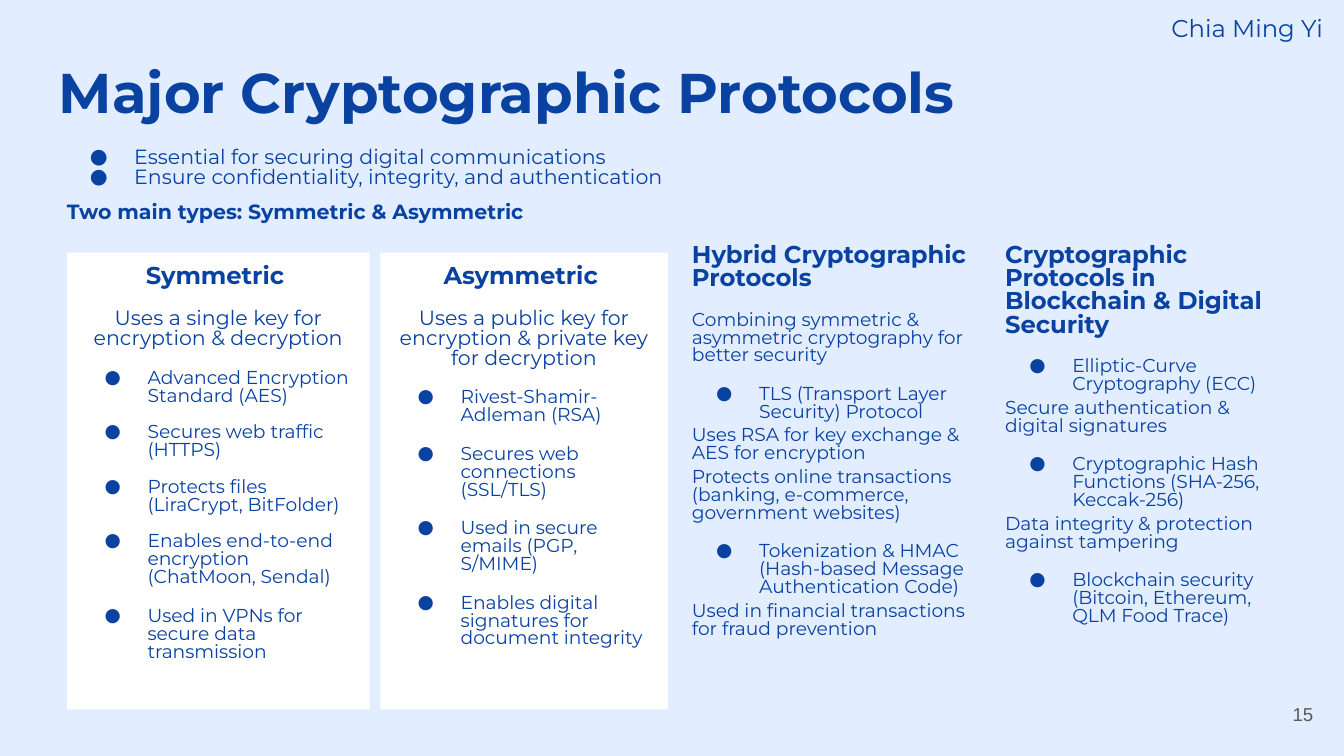
import pptx
import pptx.dml.color
import pptx.enum.shapes
import pptx.enum.text
import pptx.oxml
import pptx.oxml.ns
import pptx.util
from pptx.util import Inches

BLUE = "0942A1"
GREY = "595959"
WHITE = "FFFFFF"
BACKGROUND = "E2EDFF"
LEFT, CENTER, RIGHT = (
    pptx.enum.text.PP_ALIGN.LEFT,
    pptx.enum.text.PP_ALIGN.CENTER,
    pptx.enum.text.PP_ALIGN.RIGHT,
)
HEADING = {"size": 13, "bold": True, "before": 11, "spacing": 0.8}
BODY = {"size": 10, "before": 3, "spacing": 0.8}
LEAD = {**BODY, "before": 11}
BULLET = {**LEAD, "hanging": 0.32}
TIGHT_BULLET = {**BULLET, "before": 10}
CARD_HEADING = {**HEADING, "align": CENTER}
CARD_LEAD = {**LEAD, "size": 11, "align": CENTER}
INTRO_BULLET = {"size": 11, "spacing": 0.8, "hanging": 0.33}

SYMMETRIC = [
    ("Symmetric ", CARD_HEADING),
    ("Uses a single key for encryption & decryption", CARD_LEAD),
    ("Advanced Encryption Standard (AES)", BULLET),
    ("Secures web traffic (HTTPS)", TIGHT_BULLET),
    ("Protects files (LiraCrypt, BitFolder)", TIGHT_BULLET),
    ("Enables end-to-end encryption (ChatMoon, Sendal)", TIGHT_BULLET),
    ("Used in VPNs for secure data transmission", BULLET),
]
ASYMMETRIC = [
    ("Asymmetric ", CARD_HEADING),
    ("Uses a public key for encryption & private key for decryption", CARD_LEAD),
    ("Rivest-Shamir-Adleman (RSA)", BULLET),
    ("Secures web connections (SSL/TLS)", BULLET),
    ("Used in secure emails (PGP, S/MIME)", BULLET),
    ("Enables digital signatures for document integrity", BULLET),
]
HYBRID = [
    ("Hybrid Cryptographic Protocols", HEADING),
    ("Combining symmetric & asymmetric cryptography for better security", LEAD),
    ("TLS (Transport Layer Security) Protocol", BULLET),
    ("Uses RSA for key exchange & AES for encryption", BODY),
    ("Protects online transactions (banking, e-commerce, government websites)", BODY),
    ("Tokenization & HMAC (Hash-based Message Authentication Code)", BULLET),
    ("Used in financial transactions for fraud prevention", BODY),
]
BLOCKCHAIN = [
    ("Cryptographic Protocols in Blockchain & Digital Security", HEADING),
    ("Elliptic-Curve Cryptography (ECC)", BULLET),
    ("Secure authentication & digital signatures", BODY),
    ("Cryptographic Hash Functions (SHA-256, Keccak-256)", BULLET),
    ("Data integrity & protection against tampering", BODY),
    ("Blockchain security (Bitcoin, Ethereum, QLM Food Trace)", BULLET),
]
INTRODUCTION = [
    ("Essential for securing digital communications", {**INTRO_BULLET, "before": 8}),
    ("Ensure confidentiality, integrity, and authentication", INTRO_BULLET),
    (
        "Two main types: Symmetric & Asymmetric",
        {"size": 11, "bold": True, "before": 8, "spacing": 0.8},
    ),
]


def color(value):
    """Return the colour for a hex string."""
    return pptx.dml.color.RGBColor.from_string(value)


def add_bullet(paragraph, hanging):
    """Give a paragraph a round bullet with a hanging indent."""
    properties = paragraph._p.get_or_add_pPr()
    properties.set("marL", str(Inches(0.5)))
    properties.set("indent", str(-Inches(hanging)))
    namespace = pptx.oxml.ns.nsdecls("a")
    for markup in (
        f'<a:buClr {namespace}><a:srgbClr val="{BLUE}"/></a:buClr>',
        f'<a:buFont {namespace} typeface="Montserrat"/>',
        f'<a:buChar {namespace} char="●"/>',
    ):
        properties.append(pptx.oxml.parse_xml(markup))


def write(paragraph, text, size=10, bold=False, font="Montserrat", ink=BLUE,
          align=LEFT, before=0, spacing=1.0, hanging=None):
    """Write formatted text into a paragraph."""
    paragraph.alignment = align
    paragraph.line_spacing = spacing
    paragraph.space_before = pptx.util.Pt(before)
    if hanging:
        add_bullet(paragraph, hanging)
    run = paragraph.add_run()
    run.text = text
    run.font.size = pptx.util.Pt(size)
    run.font.bold = bold
    run.font.name = font
    run.font.color.rgb = color(ink)


def fill_text(shape, lines, middle=False):
    """Fill a shape with lines of formatted text."""
    frame = shape.text_frame
    frame.word_wrap = True
    anchors = pptx.enum.text.MSO_ANCHOR
    frame.vertical_anchor = anchors.MIDDLE if middle else anchors.TOP
    frame.margin_left = frame.margin_right = Inches(0.1)
    frame.margin_top = frame.margin_bottom = Inches(0.1)
    for index, (text, style) in enumerate(lines):
        paragraph = frame.add_paragraph() if index else frame.paragraphs[0]
        write(paragraph, text, **style)


def add_text(slide, box, lines, middle=False):
    """Add a text box in the given box."""
    fill_text(slide.shapes.add_textbox(*map(Inches, box)), lines, middle)


def add_card(slide, box, lines):
    """Add a white card with text in the given box."""
    rectangle = pptx.enum.shapes.MSO_SHAPE.RECTANGLE
    shape = slide.shapes.add_shape(rectangle, *map(Inches, box))
    shape.shadow.inherit = False
    shape.fill.solid()
    shape.fill.fore_color.rgb = color(WHITE)
    shape.line.fill.background()
    fill_text(shape, lines)


def add_header(slide, box):
    """Add the author and the title."""
    left, top, width, height = box
    add_text(slide, (left + width - 3.06, top, 3.34, 0.42),
             [("Chia Ming Yi", {"size": 13, "align": RIGHT})], middle=True)
    add_text(slide, (left, top + 0.33, width, height - 0.33),
             [("Major Cryptographic Protocols", {"size": 30, "bold": True})])


def add_columns(slide, box):
    """Add two cards and two open text columns."""
    left, top, width, height = box
    add_card(slide, (left, top + 0.16, 2.25, 3.4), SYMMETRIC)
    add_card(slide, (left + 2.33, top + 0.16, 2.14, 3.4), ASYMMETRIC)
    for column, lines in enumerate((HYBRID, BLOCKCHAIN)):
        column_left = left + width - 2.25 - 2.33 * (1 - column)
        add_text(slide, (column_left, top, 2.25, height), lines)


def main():
    """Build and save the presentation."""
    presentation = pptx.Presentation()
    presentation.slide_width = Inches(10)
    presentation.slide_height = presentation.slide_width * 9 // 16
    slide = presentation.slides.add_slide(presentation.slide_layouts[6])
    slide.background.fill.solid()
    slide.background.fill.fore_color.rgb = color(BACKGROUND)
    add_header(slide, (0.34, 0, 9.32, 0.96))
    add_text(slide, (0.4, 1.01, 9.19, 4.22), INTRODUCTION)
    add_columns(slide, (0.5, 1.72, 9.13, 4.37))
    number_style = {"font": "Arial", "ink": GREY, "align": RIGHT}
    add_text(slide, (9.27, 5.1, 0.6, 0.43), [("15", number_style)], middle=True)
    presentation.save("out.pptx")


if __name__ == "__main__":
    main()
